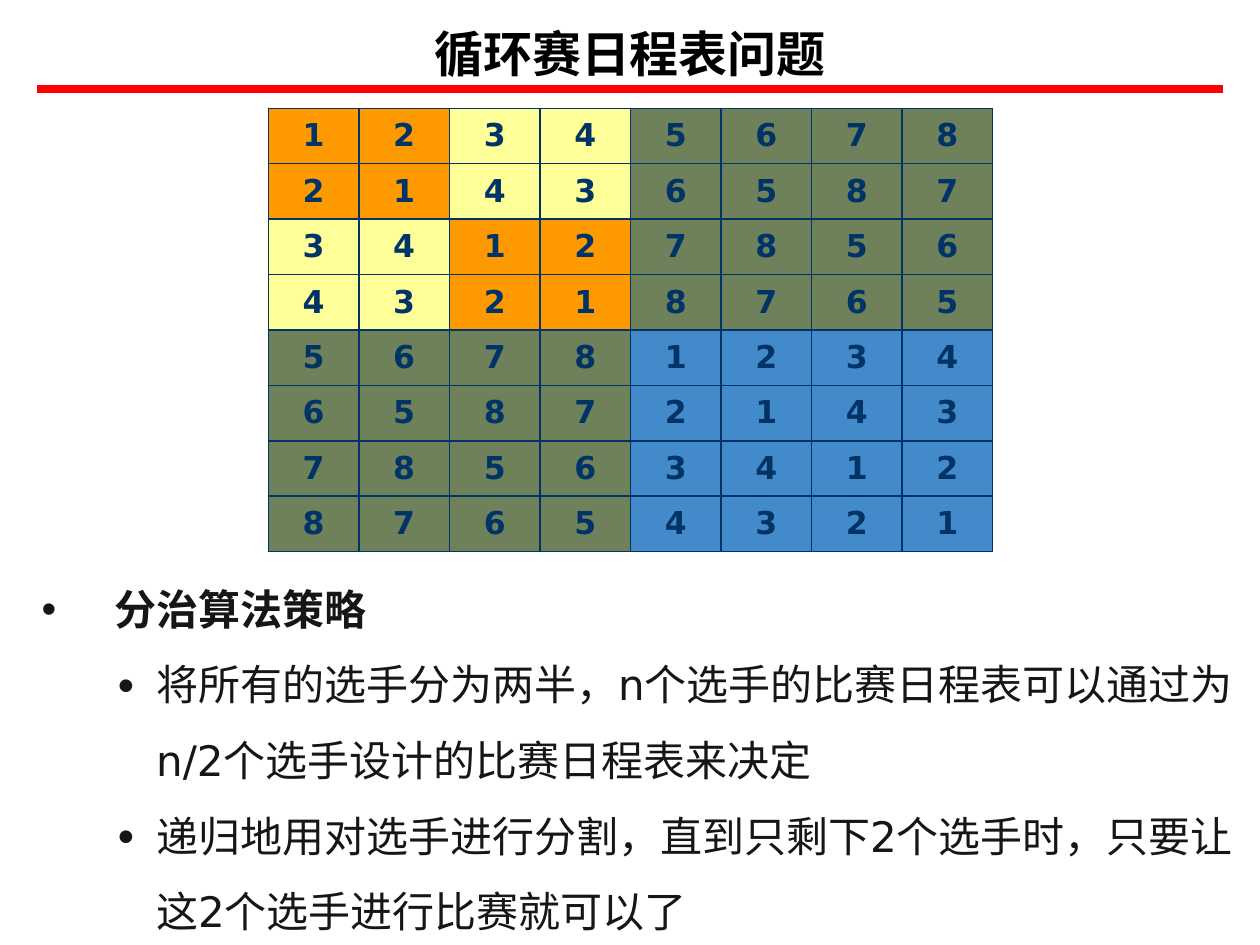
from dataclasses import dataclass

from lxml.etree import SubElement as Sub
from pptx import Presentation
from pptx.dml.color import RGBColor
from pptx.enum.shapes import MSO_CONNECTOR as Link
from pptx.enum.text import MSO_ANCHOR as Anchor, MSO_AUTO_SIZE as Fit, PP_ALIGN as Align
from pptx.oxml.ns import qn
from pptx.util import Inches, Pt

BLACK = RGBColor(0x00, 0x00, 0x00)
INK = RGBColor(0x16, 0x16, 0x16)
NAVY = RGBColor(0x00, 0x33, 0x66)
RED = RGBColor(0xFF, 0x00, 0x00)
ORANGE = RGBColor(0xFF, 0x99, 0x00)
YELLOW = RGBColor(0xFF, 0xFF, 0x99)
GREEN = RGBColor(0x6E, 0x81, 0x5B)
BLUE = RGBColor(0x43, 0x8A, 0xCB)

LATIN, HAN = "DejaVu Sans", "Noto Sans CJK SC"
COUNT = 8  # players


@dataclass
class Item:
    text: str
    level: int
    left: float
    hang: float
    mark: str
    size: int
    font: dict


HEAD = {"size": Pt(24), "bold": True, "name": HAN}
PLAIN = {"size": Pt(24), "bold": False, "name": LATIN}

ITEMS = [
    Item("分治算法策略", 0, 0.65, -0.58, "•", 100, HEAD),
    *(Item(text, 1, 0.98, -0.31, "●", 70, PLAIN) for text in (
        "将所有的选手分为两半，n个选手的比赛日程表可以通过为n/2个选手设计的比赛日程表来决定",
        "递归地用对选手进行分割，直到只剩下2个选手时，只要让这2个选手进行比赛就可以了",
    )),
]


def place(shape, left: float, top: float, width: float, height: float) -> None:
    shape.left, shape.top = Inches(left), Inches(top)
    shape.width, shape.height = Inches(width), Inches(height)


def write(para, text: str, color: RGBColor, font: dict) -> None:
    run = para.add_run()
    run.text = text
    for key, value in font.items():
        setattr(run.font, key, value)
    run.font.color.rgb = color
    Sub(run._r.get_or_add_rPr(), qn("a:ea"), typeface=HAN)


def add_item(para, item: Item) -> None:
    para.level = item.level
    para.line_spacing = 1.5
    para.space_before = Pt(0)
    para.alignment = Align.LEFT
    props = para._p.get_or_add_pPr()
    props.set("marL", str(Inches(item.left)))
    props.set("indent", str(Inches(item.hang)))
    Sub(props, qn("a:buSzPct"), val=str(item.size * 1000))
    Sub(props, qn("a:buChar"), char=item.mark)
    write(para, item.text, INK, item.font)


def shade(row: int, col: int) -> RGBColor:
    """Colour of the block that a cell belongs to."""
    half = COUNT // 2
    if row // half != col // half:
        return GREEN
    if row >= half:
        return BLUE
    return ORANGE if row // 2 == col // 2 else YELLOW


def add_cell(cell, row: int, col: int) -> None:
    cell.vertical_anchor = Anchor.MIDDLE
    props = cell._tc.get_or_add_tcPr()
    for side in ("lnL", "lnR", "lnT", "lnB"):
        edge = Sub(props, qn(f"a:{side}"), w=str(Pt(1)))
        Sub(Sub(edge, qn("a:solidFill")), qn("a:srgbClr"), val=str(NAVY))
    cell.fill.solid()
    cell.fill.fore_color.rgb = shade(row, col)
    para = cell.text_frame.paragraphs[0]
    para.alignment = Align.CENTER
    # The divide-and-conquer schedule is an XOR table
    write(para, str((row ^ col) + 1), NAVY,
          {"size": Pt(18), "bold": True, "name": LATIN})


def main() -> None:
    deck = Presentation()
    deck.slide_width, deck.slide_height = Inches(10), Inches(7.5)
    slide = deck.slides.add_slide(deck.slide_layouts[1])
    title, body = slide.placeholders

    # Rule under the title
    rule = slide.shapes.add_connector(
        Link.STRAIGHT, Inches(0.29), Inches(0.71), Inches(9.71), Inches(0.71))
    rule.line.color.rgb = RED
    rule.line.width = Pt(4.5)
    Sub(rule._element.spPr, qn("a:effectLst"))

    # Title
    place(title, 0, 0.06, 10, 0.63)
    title.text_frame.auto_size = Fit.NONE
    title.text_frame.vertical_anchor = Anchor.MIDDLE
    para = title.text_frame.paragraphs[0]
    para.alignment = Align.CENTER
    para.line_spacing = 1.2
    write(para, "循环赛日程表问题", BLACK,
          {"size": Pt(28), "bold": True, "name": HAN})

    # Strategy list
    place(body, 0.16, 4.38, 9.8, 3.07)
    frame = body.text_frame
    frame.auto_size = Fit.NONE
    frame.vertical_anchor = Anchor.TOP
    for num, item in enumerate(ITEMS):
        add_item(frame.add_paragraph() if num else frame.paragraphs[0], item)

    # Schedule table
    grid = slide.shapes.add_table(
        COUNT, COUNT, Inches(2.13), Inches(0.86), Inches(5.75), Inches(3.52)).table
    grid.first_row = grid.horz_banding = False
    for row in range(COUNT):
        for col in range(COUNT):
            add_cell(grid.cell(row, col), row, col)

    deck.save("out.pptx")


if __name__ == "__main__":
    main()
